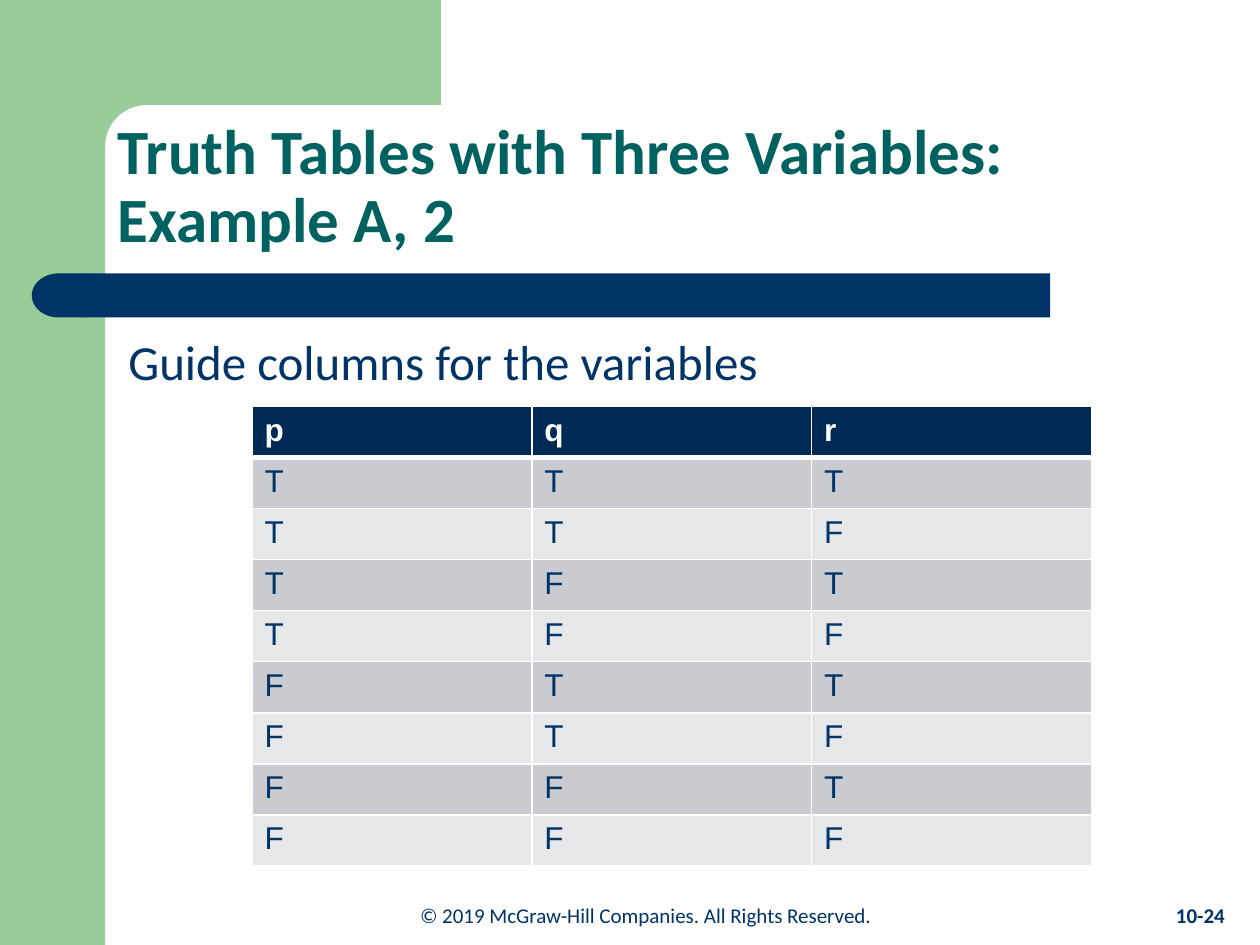
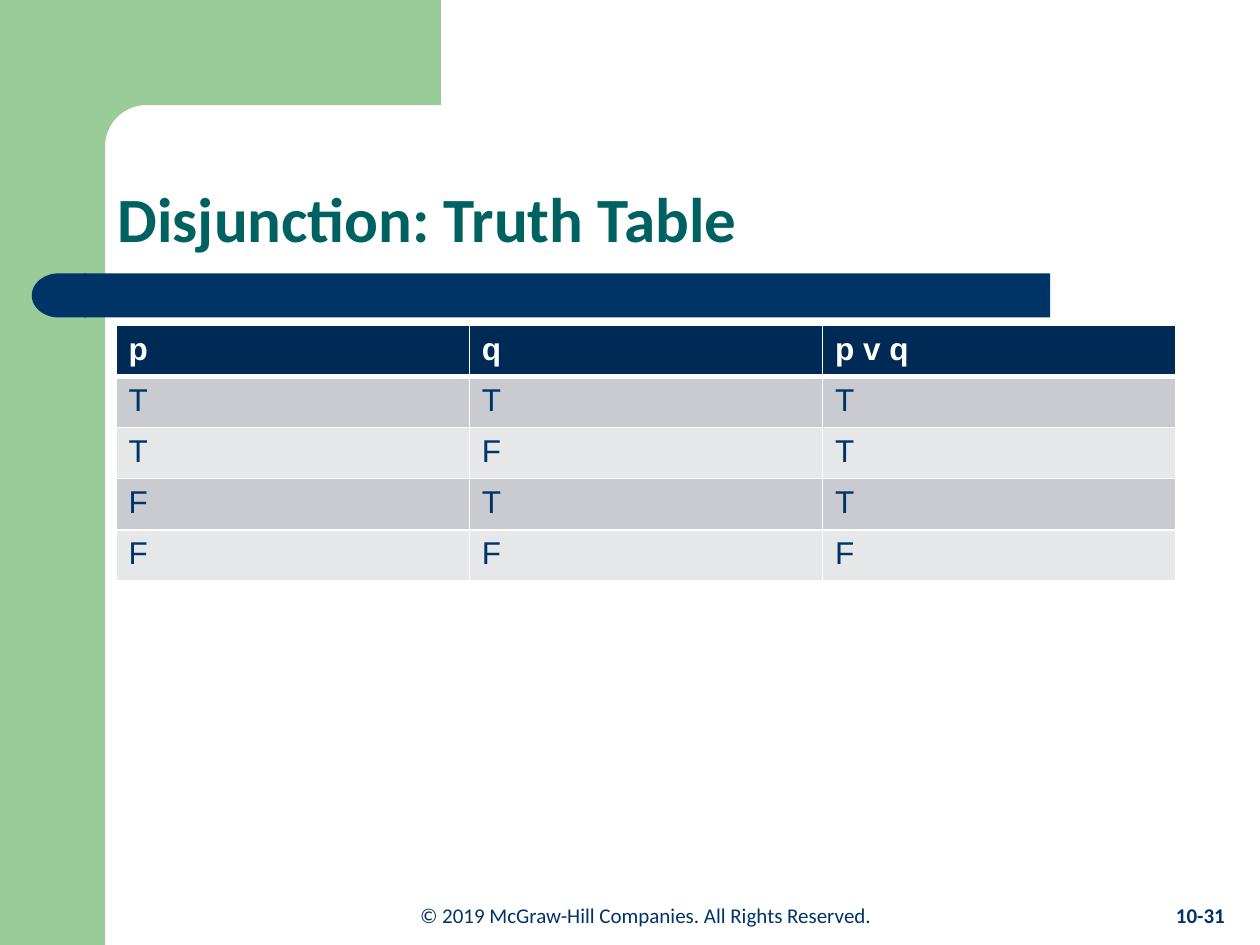
from math import cos, pi, sin

from lxml.etree import SubElement
from pptx import Presentation
from pptx.dml.color import RGBColor
from pptx.enum.shapes import MSO_SHAPE
from pptx.enum.text import MSO_ANCHOR, MSO_AUTO_SIZE, PP_ALIGN
from pptx.oxml.ns import qn
from pptx.util import Cm, Pt

COPYRIGHT = "© 2019 McGraw-Hill Companies. All Rights Reserved."
SLIDES = [
    {
        "title": "Truth Tables with Three Variables: Example A, 2",
        "lead": "Guide columns for the variables",
        "number": "10-24",
        "header": ["p", "q", "r"],
        "rows": ["TTT", "TTF", "TFT", "TFF", "FTT", "FTF", "FFT", "FFF"],
        "table_corner": (5.08, 8.19),
        "column_width": 5.64,
    },
    {
        "title": "Disjunction: Truth Table",
        "lead": None,
        "number": "10-31",
        "header": ["p", "q", "p v q"],
        "rows": ["TTT", "TFT", "FTT", "FFF"],
        "table_corner": (2.34, 6.56),
        "column_width": 7.12,
    },
]

COLORS = {
    "green": "99CC99",
    "navy": "003366",
    "teal": "006161",
    "header": "002A56",
    "odd_row": "CACBD0",
    "even_row": "E6E7E9",
    "white": "FFFFFF",
}
FORMATS = {
    "title": {"name": "Calibri", "size": Pt(36), "bold": True, "color": "teal"},
    "lead": {"name": "Calibri", "size": Pt(28), "bold": False, "color": "navy"},
    "copyright": {"name": "Calibri", "size": Pt(12), "bold": False, "color": "navy"},
    "number": {"name": "Calibri", "size": Pt(12), "bold": True, "color": "navy"},
    "table_header": {"name": "Arial", "size": Pt(18), "bold": True, "color": "white"},
    "table_body": {"name": "Arial", "size": Pt(18), "bold": False, "color": "navy"},
}

SLIDE_WIDTH, SLIDE_HEIGHT = 25.4, 19.05
SIDE_WIDTH = 2.12
TOP_BAND = {"left": 1.27, "right": 8.89, "height": 2.12}
CORNER_RADIUS = 0.83
CORNER_STEPS = 16
BAR_TOP, BAR_HEIGHT = 5.51, 0.89
TITLE_BOX = (2.12, 2.12, 22.01, 3.17)
LEAD_BOX = (2.34, 6.56, 21.36, 1.4)
COPYRIGHT_BOX = (2.34, 18.06, 21.36, 0.77)
NUMBER_BOX = (23.14, 18.06, 2.12, 0.77)
ROW_HEIGHT = 1.03


def rgb(color):
    return RGBColor.from_string(COLORS[color])


def lengths(values):
    return [Cm(value) for value in values]


def write(text_frame, text, style, alignment=PP_ALIGN.LEFT):
    paragraph = text_frame.paragraphs[0]
    paragraph.text = text
    paragraph.alignment = alignment
    for name, value in FORMATS[style].items():
        if name == "color":
            paragraph.font.color.rgb = rgb(value)
        else:
            setattr(paragraph.font, name, value)
    return paragraph


def paint(shape, color):
    shape.shadow.inherit = False
    shape.fill.solid()
    shape.fill.fore_color.rgb = rgb(color)
    shape.line.fill.background()


def add_block(slide, kind, box, color):
    shape = slide.shapes.add_shape(kind, *lengths(box))
    paint(shape, color)
    return shape


def add_text(slide, box, text, style, alignment=PP_ALIGN.LEFT):
    text_frame = slide.shapes.add_textbox(*lengths(box)).text_frame
    text_frame.word_wrap = True
    write(text_frame, text, style, alignment)


def add_top_band(slide):
    left, right, height = TOP_BAND["left"], TOP_BAND["right"], TOP_BAND["height"]
    center_x, center_y = SIDE_WIDTH + CORNER_RADIUS, height + CORNER_RADIUS
    angles = [pi / 2 * step / CORNER_STEPS for step in range(CORNER_STEPS + 1)]
    corner = [
        (center_x - CORNER_RADIUS * sin(angle), center_y - CORNER_RADIUS * cos(angle))
        for angle in angles
    ]
    outline = [(right, 0), (right, height), *corner, (left, center_y), (left, 0)]
    points = [lengths(point) for point in outline]
    builder = slide.shapes.build_freeform(*points[0])
    builder.add_line_segments(points[1:], close=True)
    paint(builder.convert_to_shape(), "green")


def add_frame(slide, number):
    add_block(slide, MSO_SHAPE.RECTANGLE, (0, 0, SIDE_WIDTH, SLIDE_HEIGHT), "green")
    add_top_band(slide)
    add_block(slide, MSO_SHAPE.RECTANGLE, (1.7, BAR_TOP, 19.47, BAR_HEIGHT), "navy")
    cap_box = (0.64, BAR_TOP, 1.09, BAR_HEIGHT)
    add_block(slide, MSO_SHAPE.FLOWCHART_DELAY, cap_box, "navy").rotation = 180
    add_text(slide, COPYRIGHT_BOX, COPYRIGHT, "copyright", PP_ALIGN.CENTER)
    add_text(slide, NUMBER_BOX, number, "number", PP_ALIGN.CENTER)


def add_title(slide, text):
    title = slide.shapes.title
    for name, value in zip(("left", "top", "width", "height"), lengths(TITLE_BOX)):
        setattr(title, name, value)
    title.text_frame.auto_size = MSO_AUTO_SIZE.NONE
    title.text_frame.vertical_anchor = MSO_ANCHOR.BOTTOM
    write(title.text_frame, text, "title").line_spacing = 0.9


def set_borders(cell, widths):
    properties = cell._tc.get_or_add_tcPr()
    for position, (side, width) in enumerate(widths.items()):
        line = properties.makeelement(qn(f"a:ln{side}"), {"w": str(Pt(width))})
        fill = SubElement(line, qn("a:solidFill"))
        SubElement(fill, qn("a:srgbClr"), val=COLORS["white"])
        properties.insert(position, line)


def add_truth_table(slide, content):
    rows = [content["header"], *content["rows"]]
    column_count = len(content["header"])
    width = content["column_width"] * column_count
    box = (*content["table_corner"], width, ROW_HEIGHT * len(rows))
    table = slide.shapes.add_table(len(rows), column_count, *lengths(box)).table
    for column in table.columns:
        column.width = Cm(content["column_width"])
    for row_index, values in enumerate(rows):
        table.rows[row_index].height = Cm(ROW_HEIGHT)
        is_header = row_index == 0
        fill = "header" if is_header else ("even_row", "odd_row")[row_index % 2]
        style = "table_header" if is_header else "table_body"
        borders = {
            "L": 1,
            "R": 1,
            "T": 3 if row_index == 1 else 1,
            "B": 3 if is_header else 1,
        }
        for column_index, value in enumerate(values):
            cell = table.cell(row_index, column_index)
            cell.fill.solid()
            cell.fill.fore_color.rgb = rgb(fill)
            write(cell.text_frame, value, style)
            set_borders(cell, borders)


def main():
    presentation = Presentation()
    presentation.slide_width = Cm(SLIDE_WIDTH)
    presentation.slide_height = Cm(SLIDE_HEIGHT)
    for content in SLIDES:
        slide = presentation.slides.add_slide(presentation.slide_layouts[5])
        add_frame(slide, content["number"])
        add_title(slide, content["title"])
        if content["lead"]:
            add_text(slide, LEAD_BOX, content["lead"], "lead")
        add_truth_table(slide, content)
    presentation.save("out.pptx")


if __name__ == "__main__":
    main()
